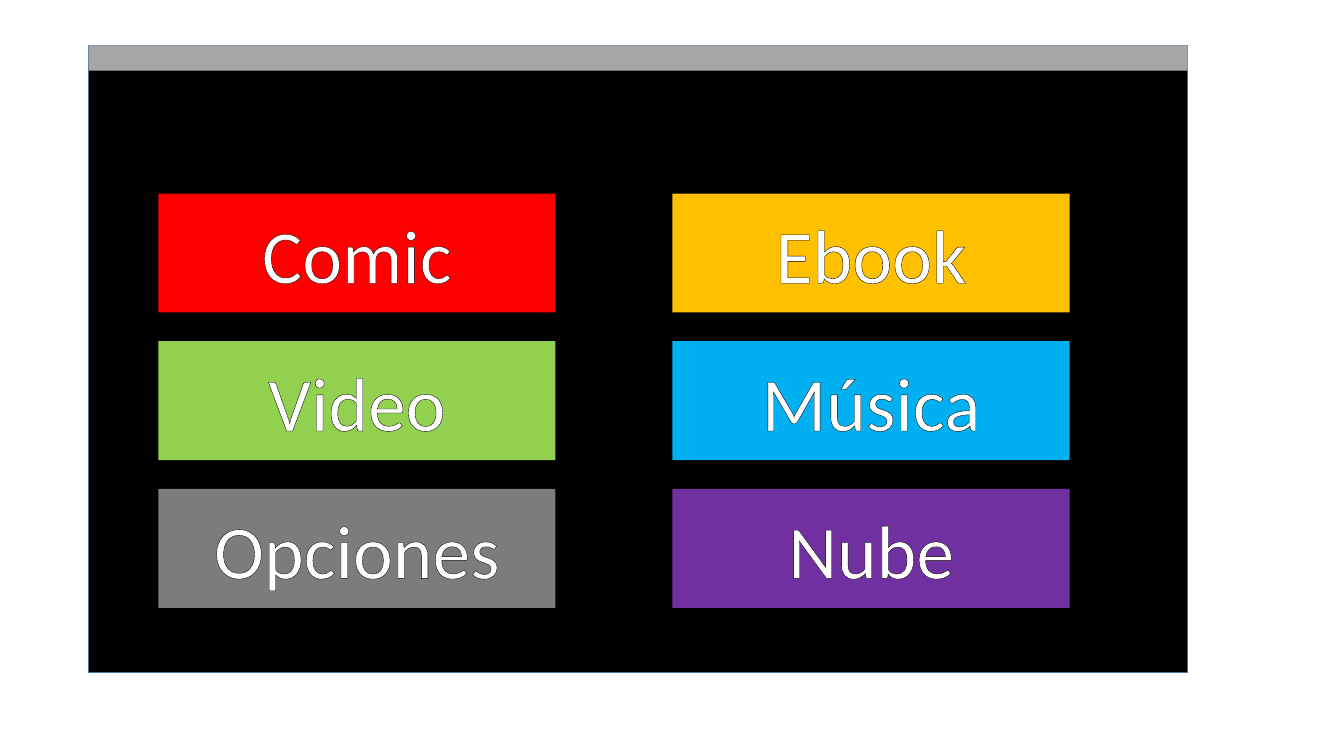
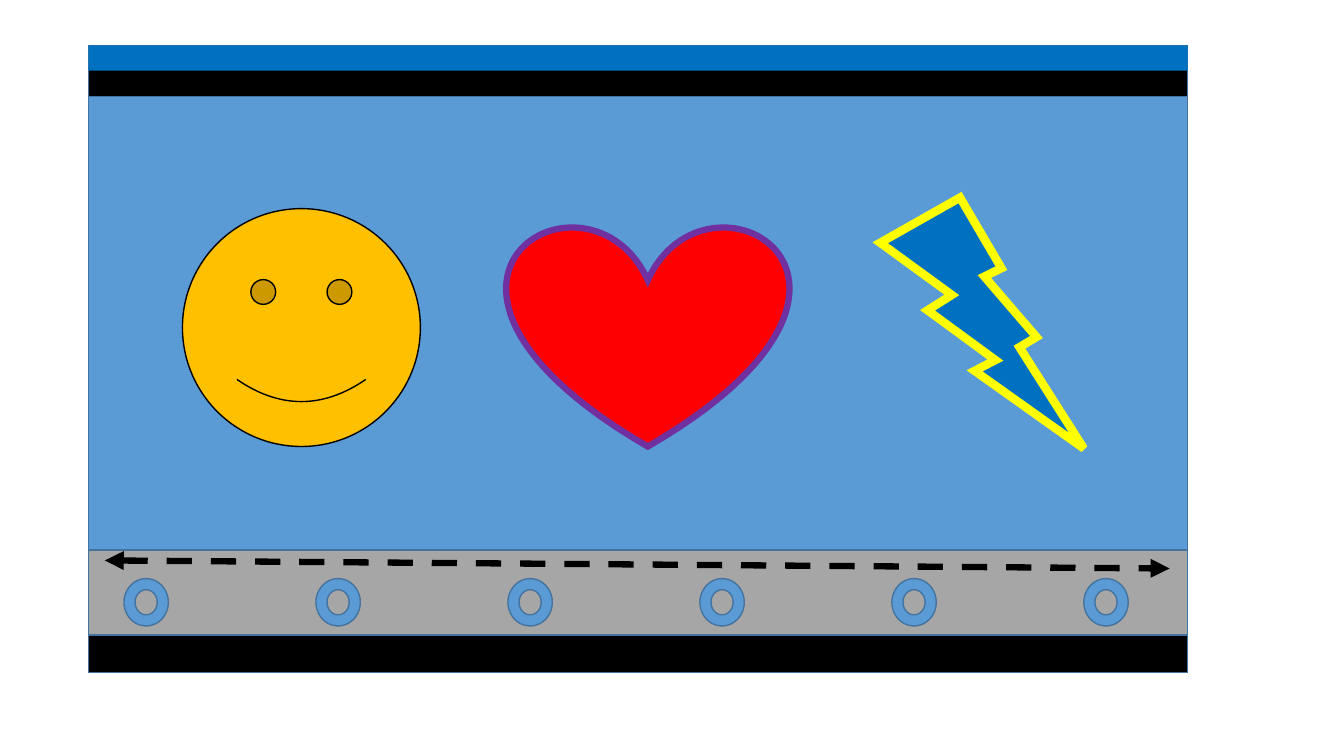
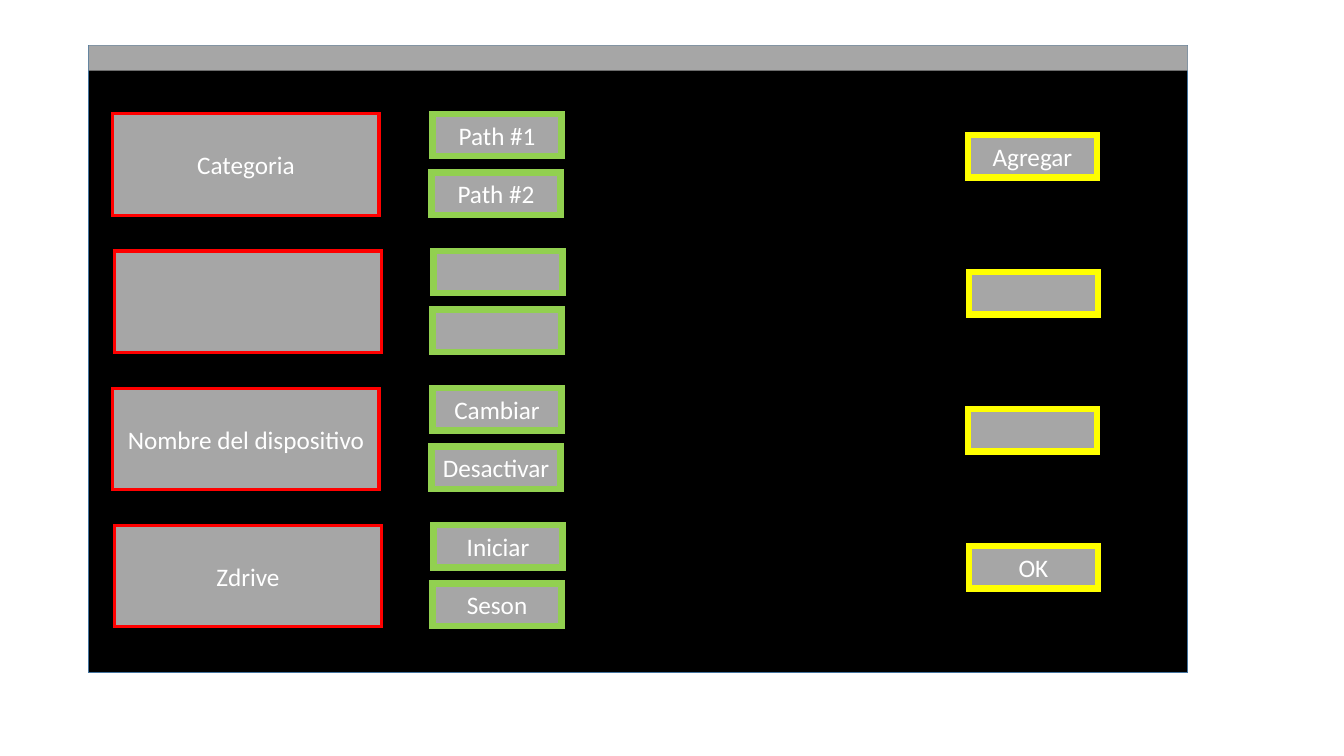
"""Builds three screen mock-ups: a main menu, a picture viewer and an options page."""
from lxml import etree
from pptx import Presentation
from pptx.dml.color import RGBColor
from pptx.enum.dml import MSO_LINE
from pptx.enum.shapes import MSO_CONNECTOR, MSO_SHAPE
from pptx.enum.text import MSO_ANCHOR, PP_ALIGN
from pptx.oxml.ns import qn
from pptx.util import Inches, Pt

RECTANGLE = MSO_SHAPE.RECTANGLE
DONUT = MSO_SHAPE.DONUT
SMILEY = MSO_SHAPE.SMILEY_FACE
BOLT = MSO_SHAPE.LIGHTNING_BOLT
HEART = MSO_SHAPE.HEART
STRAIGHT = MSO_CONNECTOR.STRAIGHT
DASH = MSO_LINE.DASH
MIDDLE = MSO_ANCHOR.MIDDLE
CENTER = PP_ALIGN.CENTER

FONT = "Calibri"
BLACK, WHITE, GRAY = "000000", "FFFFFF", "A6A6A6"
BLUE, DEEP_BLUE, EDGE = "5B9BD5", "0070C0", "43739E"
RED, GOLD, GREEN = "FF0000", "FFC000", "92D050"
YELLOW, PURPLE = "FFFF00", "7030A0"
SCREEN_LEFT, SCREEN_TOP, SCREEN_WIDTH, SCREEN_HEIGHT = 0.88, 0.45, 10.9, 6.22


def color(value):
    """Turn a hex string into a colour."""
    return RGBColor.from_string(value)


def draw(page, kind, place, fill, edge=None, weight=1, text="", size=18):
    """Add a filled shape with an optional outline and centred text."""
    shape = page.shapes.add_shape(kind, *[Inches(length) for length in place])
    shape.shadow.inherit = False
    shape.fill.solid()
    shape.fill.fore_color.rgb = color(fill)
    if edge:
        shape.line.color.rgb = color(edge)
        shape.line.width = Pt(weight)
        miter = etree.SubElement(shape.line._get_or_add_ln(), qn("a:miter"))
        miter.set("lim", "800000")
    else:
        shape.line.fill.background()
    if text:
        shape.text_frame.vertical_anchor = MIDDLE
        para = shape.text_frame.paragraphs[0]
        para.alignment = CENTER
        span = para.add_run()
        span.text = text
        span.font.name = FONT
        span.font.size = Pt(size)
        span.font.color.rgb = color(WHITE)
    return shape


deck = Presentation()
deck.slide_width = Inches(13.33)
deck.slide_height = Inches(7.5)

pages = []
for band_color in (GRAY, DEEP_BLUE, GRAY):
    page = deck.slides.add_slide(deck.slide_layouts[6])
    draw(page, RECTANGLE, (SCREEN_LEFT, SCREEN_TOP, SCREEN_WIDTH, SCREEN_HEIGHT), BLACK, EDGE)
    draw(page, RECTANGLE, (SCREEN_LEFT, SCREEN_TOP, SCREEN_WIDTH, 0.25), band_color)
    pages.append(page)
menu, viewer, options = pages

tiles = [
    ("Comic", RED), ("Ebook", GOLD),
    ("Video", GREEN), ("Música", "00B0F0"),
    ("Opciones", "7C7C7C"), ("Nube", PURPLE),
]
for index, (label, fill) in enumerate(tiles):
    row, column = divmod(index, 2)
    place = (1.57 + 5.1 * column, 1.92 + 1.465 * row, 3.94, 1.18)
    tile = draw(menu, RECTANGLE, place, fill, text=label, size=54)
    span = tile.text_frame.paragraphs[0].runs[0]
    outline = etree.Element(qn("a:ln"), w=str(Pt(0.75)))
    outline_fill = etree.SubElement(outline, qn("a:solidFill"))
    etree.SubElement(outline_fill, qn("a:srgbClr"), val=BLACK)
    span.font._element.insert(0, outline)

draw(viewer, RECTANGLE, (SCREEN_LEFT, 0.96, SCREEN_WIDTH, 4.49), BLUE, EDGE)
draw(viewer, SMILEY, (1.81, 2.07, 2.36, 2.36), GOLD, BLACK)
draw(viewer, BOLT, (8.73, 1.96, 2.02, 2.49), DEEP_BLUE, YELLOW, 6)
draw(viewer, HEART, (5.03, 2.23, 2.79, 2.2), RED, PURPLE, 4.5)
draw(viewer, RECTANGLE, (SCREEN_LEFT, 5.46, SCREEN_WIDTH, 0.84), GRAY, EDGE)
for index in range(6):
    draw(viewer, DONUT, (1.23 + 9.52 / 5 * index, 5.74, 0.44, 0.47), BLUE, EDGE)

slider = viewer.shapes.add_connector(
    STRAIGHT, Inches(1.04), Inches(5.56), Inches(11.6), Inches(5.64))
slider.line.color.rgb = color(BLACK)
slider.line.width = Pt(4.5)
slider.line.dash_style = DASH
for arrow_end in ("a:headEnd", "a:tailEnd"):
    etree.SubElement(slider.line._get_or_add_ln(), qn(arrow_end), type="triangle")
etree.SubElement(slider._element.spPr, qn("a:effectLst"))

option_rows = [
    ("Categoria", "Path #1", "Path #2", "Agregar"),
    ("", "", "", ""),
    ("Nombre del dispositivo", "Cambiar", "Desactivar", ""),
    ("Zdrive", "Iniciar", "Seson", "OK"),
]
for row, (name, upper, lower, action) in enumerate(option_rows):
    top = 1.13 + 1.36 * row
    shift = 0.01 * (row % 2)
    draw(options, RECTANGLE, (1.12 + 2 * shift, top, 2.64, 1.01), GRAY, RED, 2.25, name)
    for left, drop, edge, label in (
        (4.29, 0, GREEN, upper),
        (4.28, 0.58, GREEN, lower),
        (9.6, 0.21, YELLOW, action),
    ):
        place = (left + shift, top + drop, 1.28, 0.42)
        draw(options, RECTANGLE, place, GRAY, edge, 4.5, label)

deck.save("out.pptx")
